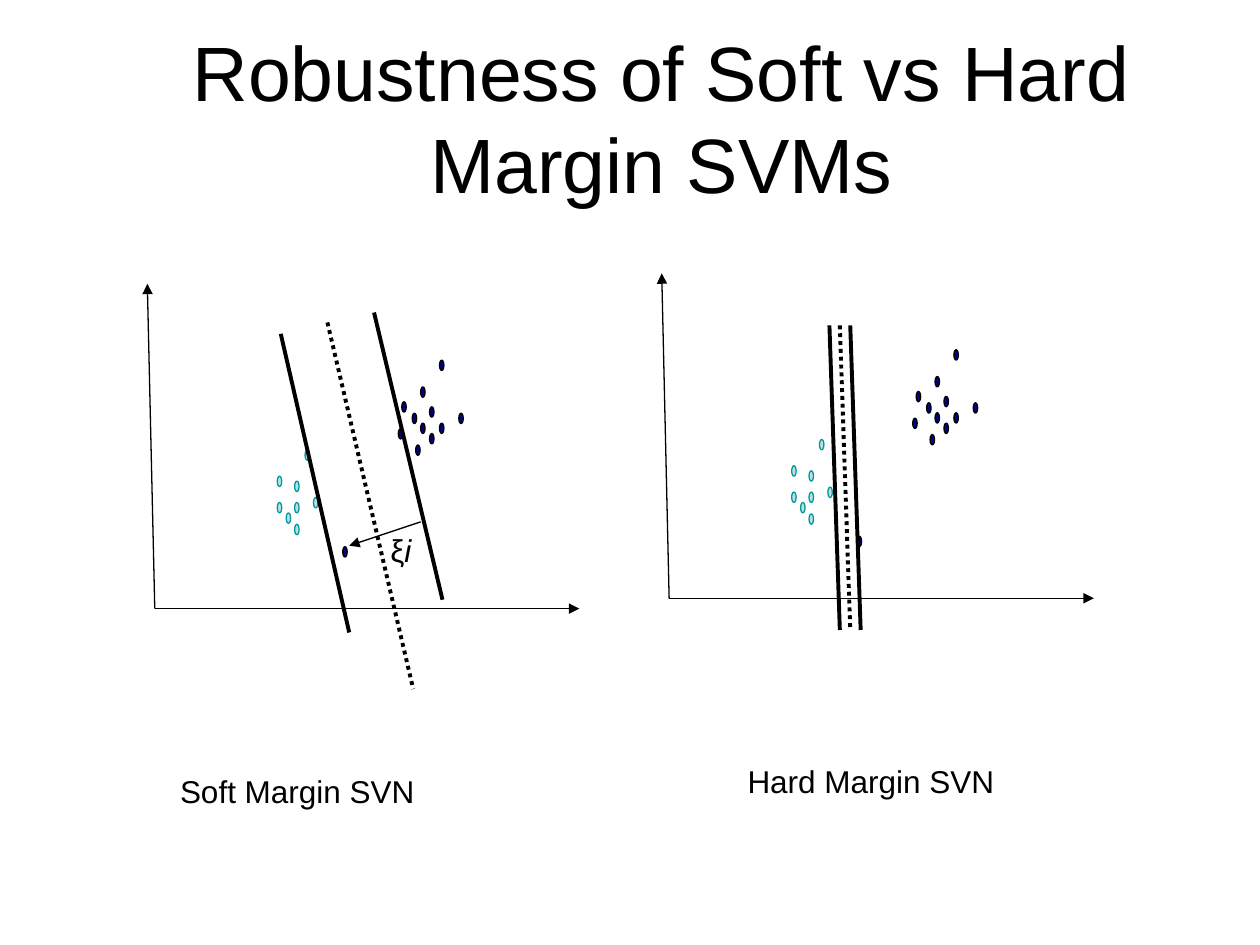
from lxml import etree
from pptx import Presentation
from pptx import util as u
from pptx.dml.color import RGBColor
from pptx.enum import dml, shapes, text
from pptx.oxml.ns import qn

COLORS = {"ink": "000000", "negative": "BBE0E3", "negative_edge": "009999", "positive": "000080"}
FONT = "Arial"

# Lengths are centimetres; plot coordinates belong to the soft margin plot.
ORIGIN, X_END, Y_END = (3.12, 12.27), (11.68, 12.27), (2.97, 5.72)
HARD_SHIFT = (10.37, -0.21)
DOT_WIDTH, DOT_HEIGHT = 0.09, 0.21
NEGATIVES = [(5.59, 10.13), (5.77, 10.34), (5.94, 10.13), (5.94, 9.7),
             (6.15, 9.07), (6.32, 10.03), (5.94, 10.57), (5.59, 9.6)]
OUTLIER = (6.91, 11.02)
POSITIVES = [(8.1, 8.1), (8.31, 8.33), (8.48, 8.53), (8.66, 8.74),
             (8.66, 8.2), (8.38, 8.97), (8.86, 8.53), (8.03, 8.64),
             (8.86, 7.26), (9.25, 8.33), (8.48, 7.8), OUTLIER]


def rgb(name):
    return RGBColor.from_string(COLORS[name])


def add_line(slide, start, end, width=0.75, dotted=False, arrow=False):
    line = slide.shapes.add_connector(
        shapes.MSO_CONNECTOR.STRAIGHT, *(u.Cm(v) for v in (*start, *end)))
    line.line.color.rgb = rgb("ink")
    line.line.width = u.Pt(width)
    if dotted:
        line.line.dash_style = dml.MSO_LINE.ROUND_DOT
    if arrow:
        etree.SubElement(line.line._get_or_add_ln(), qn("a:tailEnd"), type="triangle")
    etree.SubElement(line._element.spPr, qn("a:effectLst"))


def add_dot(slide, left, top, fill, edge):
    dot = slide.shapes.add_shape(
        shapes.MSO_SHAPE.OVAL, u.Cm(left), u.Cm(top), u.Cm(DOT_WIDTH), u.Cm(DOT_HEIGHT))
    dot.shadow.inherit = False
    dot.fill.solid()
    dot.fill.fore_color.rgb = rgb(fill)
    dot.line.color.rgb = rgb(edge)
    dot.line.width = u.Pt(0.75)


def add_text(slide, box, *parts, size=18):
    """Add one paragraph with a run per part and return its text frame."""
    frame = slide.shapes.add_textbox(*(u.Cm(v) for v in box)).text_frame
    frame.word_wrap = True
    for part in parts:
        run = frame.paragraphs[0].add_run()
        run.text = part
        run.font.name = FONT
        run.font.size = u.Pt(size)
        run.font.color.rgb = rgb("ink")
    return frame


def add_title(slide):
    frame = add_text(slide, (2.54, 0.76, 21.59, 3.18),
                     "Robustness of Soft vs Hard Margin SVMs", size=44)
    frame.vertical_anchor = text.MSO_ANCHOR.MIDDLE
    frame.paragraphs[0].alignment = text.PP_ALIGN.CENTER


def add_label(slide, left, top, width, *parts):
    frame = add_text(slide, (left, top, width, 1.02), *parts)
    frame.auto_size = text.MSO_AUTO_SIZE.SHAPE_TO_FIT_TEXT
    return frame


def add_scatter(slide, shift=(0, 0)):
    """Draw the axes and both classes, moved by shift."""
    dx, dy = shift
    origin = (ORIGIN[0] + dx, ORIGIN[1] + dy)
    for x, y in (X_END, Y_END):
        add_line(slide, origin, (x + dx, y + dy), arrow=True)
    for points, fill, edge in ((NEGATIVES, "negative", "negative_edge"),
                               (POSITIVES, "positive", "ink")):
        for x, y in points:
            add_dot(slide, x + dx, y + dy, fill, edge)


def add_soft_margin(slide):
    add_scatter(slide)
    add_line(slide, (6.6, 6.5), (8.33, 13.89), 2.25, dotted=True)
    add_line(slide, (5.66, 6.73), (7.04, 12.75), 2.25)
    add_line(slide, (7.54, 6.3), (8.92, 12.09), 2.25)
    add_line(slide, (8.48, 10.52), (7.04, 11), arrow=True)
    slack = add_label(slide, 7.62, 10.59, 1.27, "ξ", "i")
    slack.paragraphs[0].runs[1].font.italic = True
    add_label(slide, 3.38, 15.44, 5.72, "Soft Margin SVN")


def add_hard_margin(slide):
    add_scatter(slide, HARD_SHIFT)
    for i, dotted in enumerate((False, True, False)):
        x = 16.72 + 0.21 * i
        add_line(slide, (x, 6.56), (x + 0.21, 12.7), 2.25, dotted)
    add_label(slide, 14.82, 15.24, 5.72, "Hard Margin SVN")


def main():
    deck = Presentation()
    deck.slide_width, deck.slide_height = u.Cm(25.4), u.Cm(19.05)
    slide = deck.slides.add_slide(deck.slide_layouts[6])
    add_title(slide)
    add_soft_margin(slide)
    add_hard_margin(slide)
    deck.save("out.pptx")


if __name__ == "__main__":
    main()
